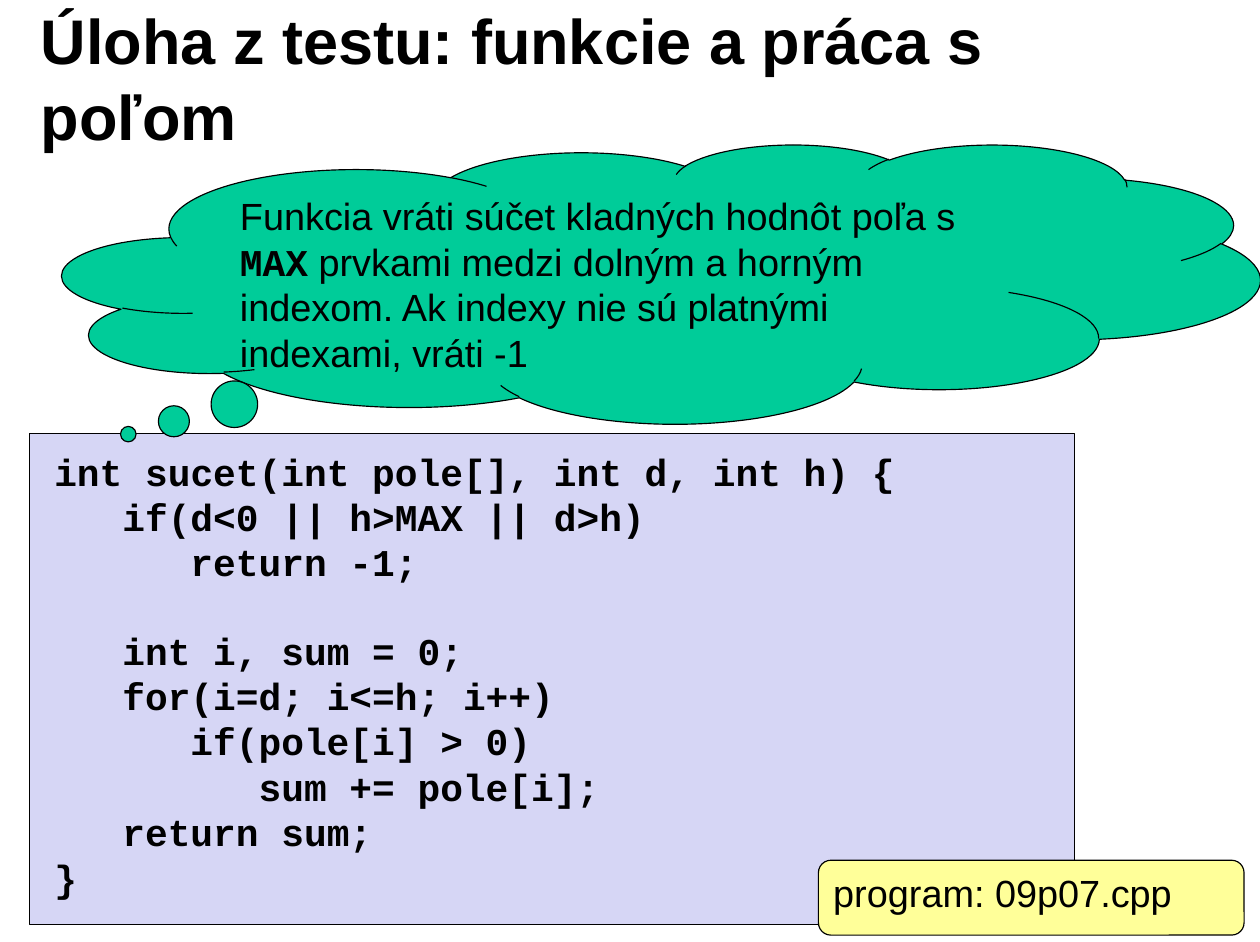
from pptx import Presentation
from pptx.dml.color import RGBColor
from pptx.enum.shapes import MSO_SHAPE
from pptx.enum.text import MSO_ANCHOR, PP_ALIGN
from pptx.util import Inches, Pt

RECT = MSO_SHAPE.RECTANGLE
CLOUD = MSO_SHAPE.CLOUD_CALLOUT
ROUND = MSO_SHAPE.ROUNDED_RECTANGLE
LEFT = PP_ALIGN.LEFT
TOP, MID = MSO_ANCHOR.TOP, MSO_ANCHOR.MIDDLE

HUES = {"ink": "000000", "code": "D6D6F5", "cloud": "00CC99", "file": "FFFF99"}
SANS, MONO = "Arial", "Courier New"
STEP = 0.6  # one code indent: three characters
GAP = 27.2  # height of one code line in points

# Indent level, text, space before in points
CODE = [
    (0, "int sucet(int pole[], int d, int h) {", 0),
    (1, "if(d<0 || h>MAX || d>h)", 0),
    (2, "return -1;", 0),
    (1, "int i, sum = 0;", GAP),
    (1, "for(i=d; i<=h; i++)", 0),
    (2, "if(pole[i] > 0)", 0),
    (3, "sum += pole[i];", 0),
    (1, "return sum;", 0),
    (0, "}", 0),
]


def hue(name):
    return RGBColor.from_string(HUES[name])


def add_run(para, text, size=24, font=SANS, bold=False):
    para.alignment = LEFT
    run = para.add_run()
    run.text = text
    run.font.size = Pt(size)
    run.font.name = font
    run.font.bold = bold
    run.font.color.rgb = hue("ink")


def set_frame(shape, anchor=TOP, side=0.1, edge=0.05):
    frame = shape.text_frame
    frame.word_wrap = True
    frame.vertical_anchor = anchor
    frame.margin_left = frame.margin_right = Inches(side)
    frame.margin_top = frame.margin_bottom = Inches(edge)
    return frame


def add_box(slide, kind, box, fill):
    shape = slide.shapes.add_shape(kind, *map(Inches, box))
    shape.shadow.inherit = False
    shape.fill.solid()
    shape.fill.fore_color.rgb = hue(fill)
    shape.line.color.rgb = hue("ink")
    shape.line.width = Pt(0.75)
    return shape


def add_title(slide, box):
    label = slide.shapes.add_textbox(*map(Inches, box))
    frame = set_frame(label, MID, 0.11, 0.06)
    add_run(frame.paragraphs[0], "Úloha z testu: funkcie a práca s poľom",
            size=40, bold=True)


def add_code(slide, box):
    add_box(slide, RECT, box, "code")
    left, top, width, height = box
    area = (left + 0.12, top + 0.08, width - 0.04, height - 0.19)
    frame = set_frame(slide.shapes.add_textbox(*map(Inches, area)))
    for row, (level, text, space) in enumerate(CODE):
        para = frame.add_paragraph() if row else frame.paragraphs[0]
        para.space_before = Pt(space)
        props = para._p.get_or_add_pPr()
        props.set("marL", str(Inches(STEP * level)))
        props.set("indent", "0")
        add_run(para, text, font=MONO, bold=True)


def add_cloud(slide, box):
    cloud = add_box(slide, CLOUD, box, "cloud")
    cloud.adjustments[0] = -0.445
    cloud.adjustments[1] = 0.539
    para = set_frame(cloud, side=0.11, edge=0.06).paragraphs[0]
    add_run(para, "Funkcia vráti súčet kladných hodnôt poľa s ")
    add_run(para, "MAX", font=MONO, bold=True)
    add_run(para, " prvkami medzi dolným a horným indexom. "
                  "Ak indexy nie sú platnými indexami, vráti -1")


def add_file(slide, box):
    note = add_box(slide, ROUND, box, "file")
    add_run(set_frame(note).paragraphs[0], "program: 09p07.cpp")


def main():
    deck = Presentation()
    deck.slide_width, deck.slide_height = Inches(11.1), Inches(8.3)
    slide = deck.slides.add_slide(deck.slide_layouts[6])
    add_title(slide, (0.25, 0.17, 8.91, 1.02))
    add_code(slide, (0.26, 3.82, 9.21, 4.33))
    add_cloud(slide, (0.55, 1.27, 10.55, 2.46))
    add_file(slide, (7.21, 7.58, 3.75, 0.66))
    deck.save("out.pptx")


if __name__ == "__main__":
    main()
